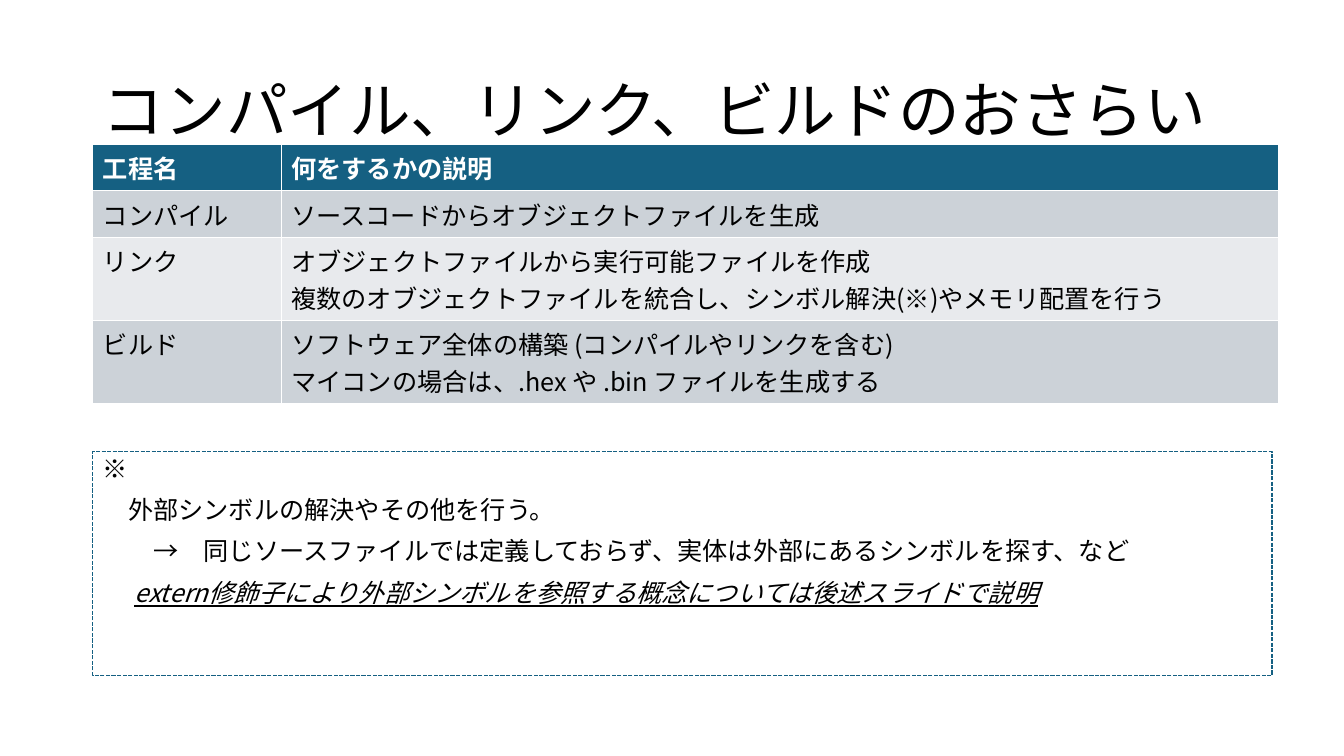
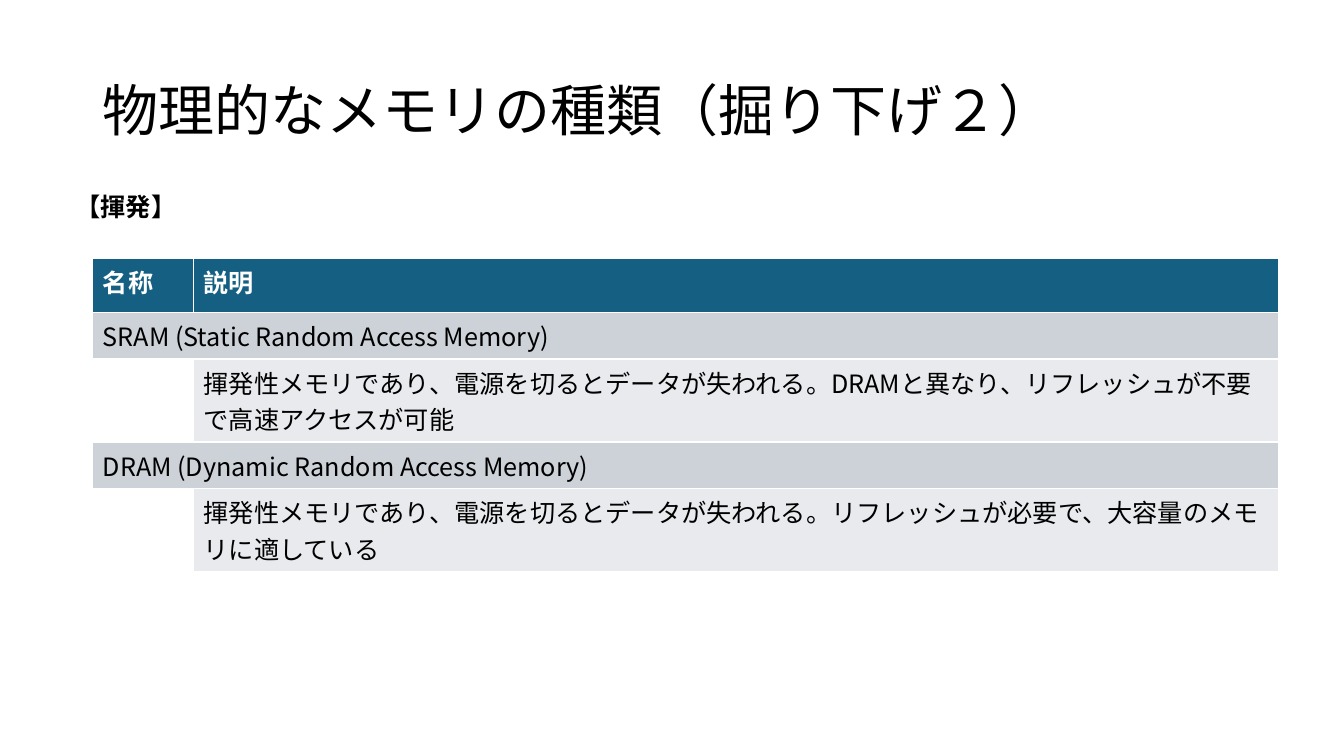
import pptx
import pptx.util
import pptx.dml.color
import pptx.enum.dml
import pptx.enum.text
import pptx.oxml.ns
from lxml import etree

SLIDE_WIDTH, SLIDE_HEIGHT = 13.33, 7.5
FONT = "Noto Sans CJK JP"
BLACK, WHITE, ACCENT = "000000", "FFFFFF", "156082"
BANDS = ("CCD2D8", "E8EAED")
LEFT, TABLE_WIDTH = 6.9, 88.2
ONE_LINE, TWO_LINES = 6.13, 10.93
BODY_SIZE, INDENT = 18, 0.25


def col(percent):
    """Turn a percentage of the slide width into a length."""
    return pptx.util.Inches(SLIDE_WIDTH * percent / 100)


def row(percent):
    """Turn a percentage of the slide height into a length."""
    return pptx.util.Inches(SLIDE_HEIGHT * percent / 100)


def rgb(value):
    """Turn a hex string into a colour."""
    return pptx.dml.color.RGBColor.from_string(value)


def place(shape, left, top, width, height):
    """Move and size a shape on the percentage grid."""
    shape.left, shape.top = col(left), row(top)
    shape.width, shape.height = col(width), row(height)


def write(frame, lines, size=BODY_SIZE, color=BLACK, bold=False, spacing=1.0,
          before=0, indents=(), emphasised=()):
    """Fill a text frame with one formatted paragraph for each line."""
    for index, line in enumerate(lines):
        paragraph = frame.paragraphs[0] if index == 0 else frame.add_paragraph()
        paragraph.alignment = pptx.enum.text.PP_ALIGN.LEFT
        paragraph.line_spacing = spacing
        paragraph.space_before = pptx.util.Pt(before if index else 0)
        if indents:
            properties = paragraph._p.get_or_add_pPr()
            properties.set("marL", str(pptx.util.Inches(INDENT * indents[index])))
            properties.set("indent", "0")
            etree.SubElement(properties, pptx.oxml.ns.qn("a:buNone"))
        run = paragraph.add_run()
        run.text = line
        font = run.font
        font.name, font.size, font.bold = FONT, pptx.util.Pt(size), bold
        font.color.rgb = rgb(color)
        if index in emphasised:
            font.italic = font.underline = True
        east_asian = etree.SubElement(run._r.get_or_add_rPr(), pptx.oxml.ns.qn("a:ea"))
        east_asian.set("typeface", FONT)


def add_slide(deck, layout, heading, size):
    """Add a slide with its formatted title."""
    slide = deck.slides.add_slide(deck.slide_layouts.get_by_name(layout))
    title = slide.shapes.title
    place(title, LEFT, 5.33, 86.25, 19.33)
    title.text_frame.auto_size = pptx.enum.text.MSO_AUTO_SIZE.NONE
    title.text_frame.vertical_anchor = pptx.enum.text.MSO_ANCHOR.MIDDLE
    write(title.text_frame, [heading], size=size, spacing=0.9)
    return slide


def add_banded_table(slide, top, first_width, heights, rows):
    """Add a table; a row with one text spans it, an empty cell stays clear."""
    table = slide.shapes.add_table(
        len(rows), 2, col(LEFT), row(top), col(TABLE_WIDTH), row(sum(heights))).table
    table.columns[0].width = col(first_width)
    table.columns[1].width = col(TABLE_WIDTH - first_width)
    for index, texts in enumerate(rows):
        table.rows[index].height = row(heights[index])
        header = index == 0
        if len(texts) == 1:
            table.cell(index, 0).merge(table.cell(index, 1))
        for column, text in enumerate(texts):
            cell = table.cell(index, column)
            if not text:
                cell.fill.background()
                continue
            cell.fill.solid()
            cell.fill.fore_color.rgb = rgb(ACCENT if header else BANDS[(index - 1) % 2])
            write(cell.text_frame, text.split("\n"),
                  color=WHITE if header else BLACK, bold=header)


def add_note(slide, lines, **text_format):
    """Turn the body placeholder into a dashed note."""
    note = slide.placeholders[1]
    place(note, LEFT, 59.73, 87.75, 29.6)
    note.line.color.rgb = rgb(ACCENT)
    note.line.width = pptx.util.Pt(1)
    note.line.dash_style = pptx.enum.dml.MSO_LINE.SQUARE_DOT
    note.text_frame.auto_size = pptx.enum.text.MSO_AUTO_SIZE.NONE
    write(note.text_frame, lines, spacing=0.9, before=10, **text_format)


def add_label(slide, text):
    """Add the bold label above a table."""
    label = slide.shapes.add_textbox(col(4.88), row(24.67), col(9.08), row(5.33))
    label.text_frame.word_wrap = False
    label.text_frame.auto_size = pptx.enum.text.MSO_AUTO_SIZE.SHAPE_TO_FIT_TEXT
    write(label.text_frame, [text], bold=True)


def build_process_slide(deck):
    """Build the review of compiling, linking and building."""
    slide = add_slide(deck, "Title and Content", "コンパイル、リンク、ビルドのおさらい", 44)
    add_banded_table(slide, 19.07, 14.03, [ONE_LINE, ONE_LINE, TWO_LINES, TWO_LINES], [
        ("工程名", "何をするかの説明"),
        ("コンパイル", "ソースコードからオブジェクトファイルを生成"),
        ("リンク", "オブジェクトファイルから実行可能ファイルを作成\n"
                "複数のオブジェクトファイルを統合し、シンボル解決(※)やメモリ配置を行う"),
        ("ビルド", "ソフトウェア全体の構築 (コンパイルやリンクを含む)\n"
                "マイコンの場合は、.hex や .bin ファイルを生成する"),
    ])
    add_note(slide, [
        "※",
        "外部シンボルの解決やその他を行う。",
        "→　同じソースファイルでは定義しておらず、実体は外部にあるシンボルを探す、など",
        "extern修飾子により外部シンボルを参照する概念については後述スライドで説明",
    ], indents=(0, 1, 2, 1.25), emphasised=(3,))


def build_memory_slide(deck):
    """Build the overview of volatile memory."""
    slide = add_slide(deck, "Title Only", "物理的なメモリの種類（掘り下げ２）", 40)
    heights = [7.2] + [ONE_LINE, TWO_LINES] * 2
    add_banded_table(slide, 34.13, 7.5, heights, [
        ("名称", "説明"),
        ("SRAM (Static Random Access Memory)",),
        ("", "揮発性メモリであり、電源を切るとデータが失われる。"
             "DRAMと異なり、リフレッシュが不要で高速アクセスが可能"),
        ("DRAM (Dynamic Random Access Memory)",),
        ("", "揮発性メモリであり、電源を切るとデータが失われる。"
             "リフレッシュが必要で、大容量のメモリに適している"),
    ])
    add_label(slide, "【揮発】")


def main():
    """Build and save the deck."""
    deck = pptx.Presentation()
    deck.slide_width, deck.slide_height = col(100), row(100)
    build_process_slide(deck)
    build_memory_slide(deck)
    deck.save("out.pptx")


if __name__ == "__main__":
    main()
